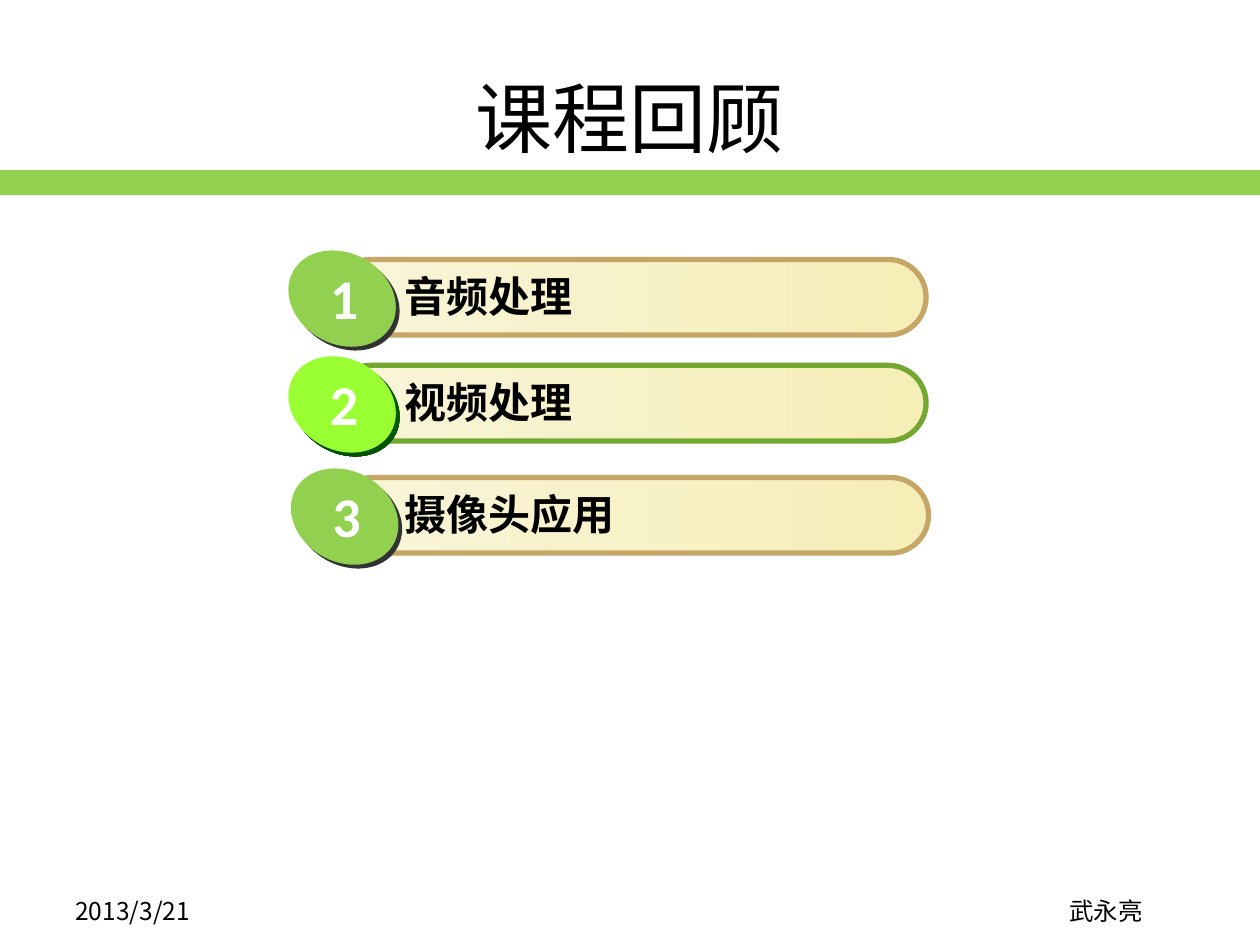
from lxml.etree import SubElement
from pptx import Presentation
from pptx.dml.color import RGBColor
from pptx.enum.shapes import MSO_SHAPE
from pptx.enum.text import MSO_ANCHOR, PP_ALIGN
from pptx.oxml.ns import qn
from pptx.util import Inches, Pt

BLACK = RGBColor(0x00, 0x00, 0x00)
WHITE = RGBColor(0xFF, 0xFF, 0xFF)
GREEN = RGBColor(0x92, 0xD0, 0x50)
LIME = RGBColor(0x99, 0xFF, 0x33)
LEAF = RGBColor(0x74, 0xA7, 0x31)
TAN = RGBColor(0xC5, 0xA6, 0x67)
CHARCOAL = RGBColor(0x33, 0x33, 0x33)
CREAM = (RGBColor(0xF9, 0xF5, 0xD9), RGBColor(0xF5, 0xEE, 0xB7))
FOREST = (RGBColor(0x00, 0x66, 0x00), RGBColor(0x00, 0x49, 0x00))

CJK_FONT = "Noto Sans CJK SC"
TITLE = "课程回顾"
FOOTERS = [
    ("2013/3/21", (0.5, 7.06, 1.43, 0.34), PP_ALIGN.LEFT),
    ("武永亮", (8.31, 7.06, 0.94, 0.34), PP_ALIGN.CENTER),
]
# topic, left and top of its bar, outline, badge, badge shade
TOPICS = [
    ("音频处理", 2.64, 2.06, TAN, GREEN, CHARCOAL),
    ("视频处理", 2.64, 2.9, LEAF, LIME, FOREST),
    ("摄像头应用", 2.66, 3.79, TAN, GREEN, CHARCOAL),
]
TOPIC_TEXT_LEFT = 3.11
BADGE_TILT = 29.3


def add_text(page, text, area, size, color=BLACK, font="Calibri", bold=False,
             align=PP_ALIGN.LEFT, anchor=MSO_ANCHOR.TOP, wrap=True):
    box = page.shapes.add_textbox(*map(Inches, area))
    frame = box.text_frame
    frame.word_wrap = wrap
    frame.vertical_anchor = anchor
    para = frame.paragraphs[0]
    para.text = text
    para.alignment = align
    para.font.name = font
    para.font.size = Pt(size)
    para.font.bold = bold
    para.font.color.rgb = color
    properties = para._p.pPr.find(qn("a:defRPr"))
    SubElement(properties, qn("a:ea"), typeface=CJK_FONT)


def add_filled(page, kind, area, fill, angle=0):
    """Add an unlined shape; a pair of colours as fill makes a gradient."""
    shape = page.shapes.add_shape(kind, *map(Inches, area))
    shape.shadow.inherit = False
    shape.line.fill.background()
    if isinstance(fill, RGBColor):
        shape.fill.solid()
        shape.fill.fore_color.rgb = fill
    else:
        shape.fill.gradient()
        shape.fill.gradient_angle = angle
        for stop, color in zip(shape.fill.gradient_stops, fill):
            stop.color.rgb = color
    return shape


def add_topic(page, number, topic, left, top, outline, badge, shade):
    bar = add_filled(page, MSO_SHAPE.ROUNDED_RECTANGLE, (left, top, 4.71, 0.6), CREAM)
    bar.adjustments[0] = 0.5
    bar.line.color.rgb = outline
    bar.line.width = Pt(3)
    add_text(page, topic, (TOPIC_TEXT_LEFT, top + 0.04, 4.04, 0.51), 24, bold=True)
    for dx, dy, fill in ((-0.34, -0.02, shade), (-0.37, -0.05, badge)):
        area = (left + dx, top + dy, 0.89, 0.72)
        add_filled(page, MSO_SHAPE.OVAL, area, fill, angle=270).rotation = BADGE_TILT
    add_text(page, str(number), (left - 0.12, top - 0.02, 0.43, 0.64), 32,
             color=WHITE, bold=True, wrap=False)


def main():
    deck = Presentation()
    deck.slide_width, deck.slide_height = Inches(10), Inches(7.5)
    page = deck.slides.add_slide(deck.slide_layouts[6])
    for text, area, align in FOOTERS:
        add_text(page, text, area, 14, font=CJK_FONT, align=align)
    add_filled(page, MSO_SHAPE.RECTANGLE, (0, 1.35, 10, 0.2), GREEN)
    add_text(page, TITLE, (0.5, 0.3, 9, 1.25), 44, font=CJK_FONT,
             align=PP_ALIGN.CENTER, anchor=MSO_ANCHOR.MIDDLE)
    for number, topic in enumerate(TOPICS, start=1):
        add_topic(page, number, *topic)
    deck.save("out.pptx")


if __name__ == "__main__":
    main()
